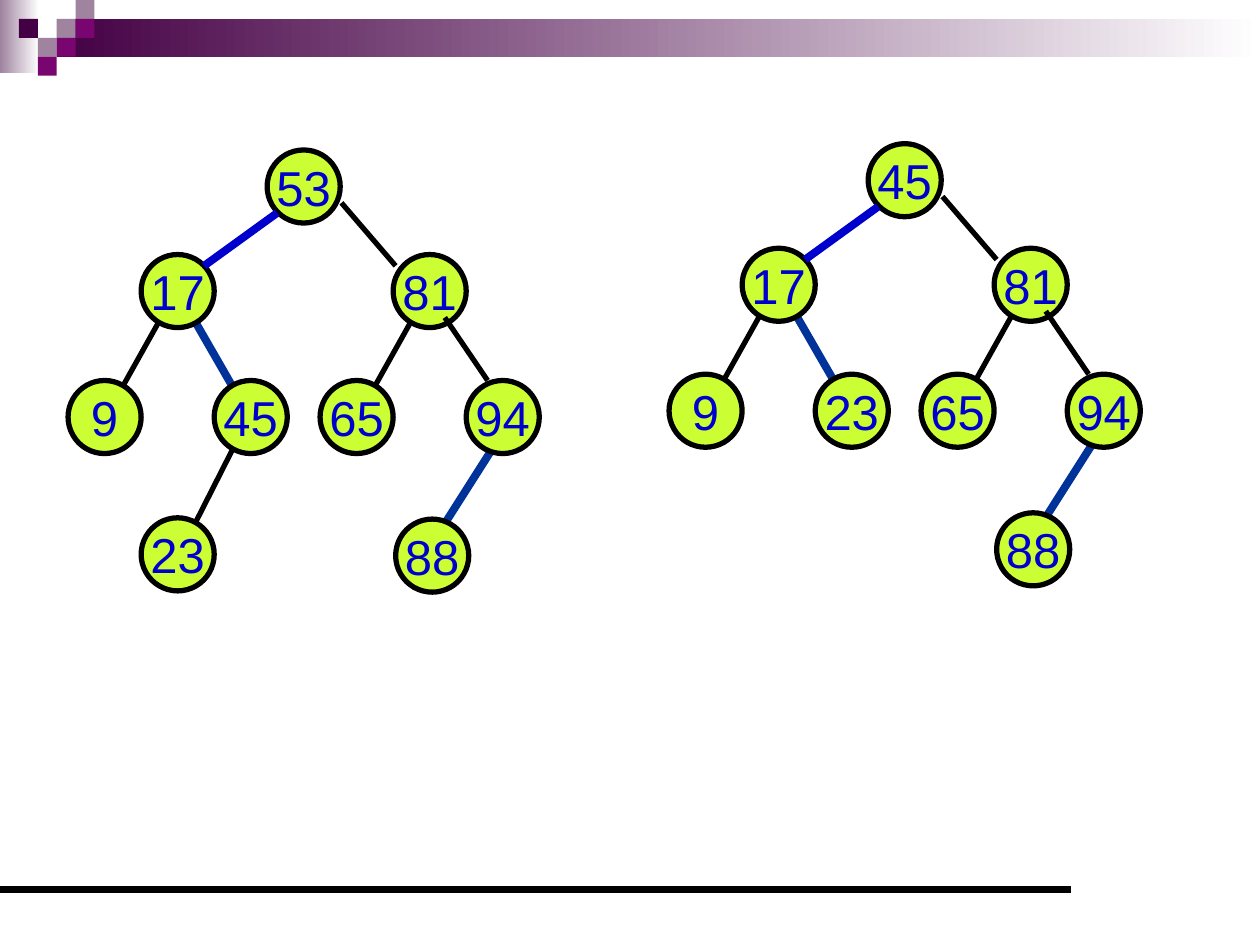
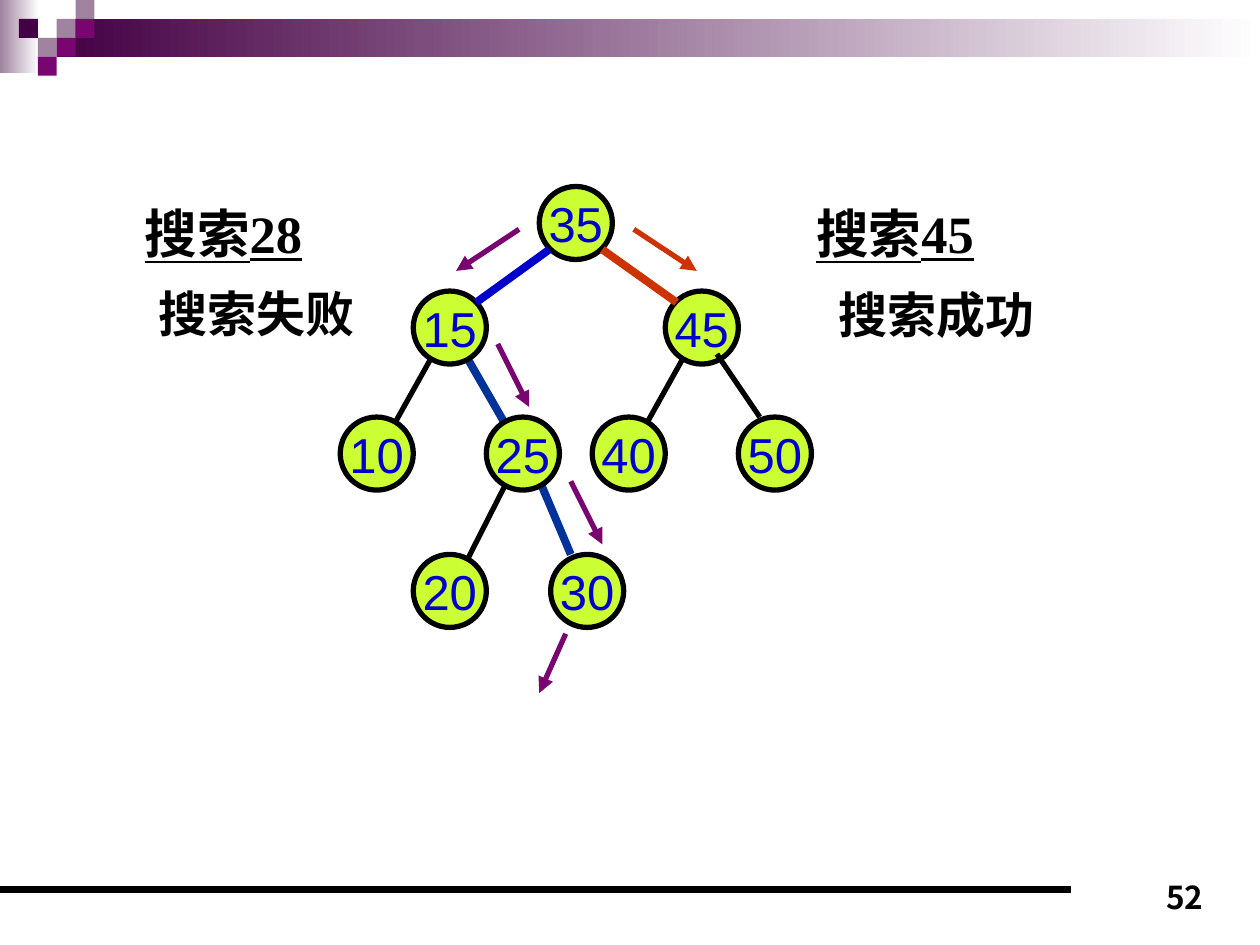
from lxml.etree import SubElement
from pptx import Presentation
from pptx.dml.color import RGBColor
from pptx.enum.shapes import MSO_CONNECTOR, MSO_SHAPE
from pptx.enum.text import MSO_ANCHOR, PP_ALIGN
from pptx.oxml.ns import qn
from pptx.util import Inches, Pt

COLORS = {
    "black": "000000", "white": "FFFFFF", "dark": "440044", "purple": "790571",
    "mauve": "9F839F", "lime": "CCFF33", "blue": "0000CC", "navy": "003399",
    "red": "CC3300",
}
FORMATS = {
    "node": {"size": Pt(28), "name": "Arial"},
    "query": {"size": Pt(30), "name": "Times New Roman", "bold": True, "underline": True},
    "result": {"size": Pt(28), "name": "Times New Roman", "bold": True},
    "number": {"size": Pt(18), "name": "Noto Sans CJK JP", "bold": True},
}
EAST_ASIAN_FONT = "Noto Sans CJK JP"

BAND_STEP = 0.15
# Column and row of each small square in the top band
BAND_SQUARES = [
    (3, 1, "mauve"), (4, 0, "mauve"), (4, 1, "purple"), (2, 2, "mauve"),
    (1, 1, "dark"), (3, 2, "purple"), (2, 3, "purple"),
]

NODE_SIZE = 0.58
# A node is named by its path from the root; places are relative to the root's corner
NODE_PLACES = {
    "root": (0, 0), "L": (-1, 0.83), "R": (1, 0.83),
    "LL": (-1.58, 1.83), "LR": (-0.42, 1.83), "RL": (0.42, 1.83), "RR": (1.58, 1.83),
    "LRL": (-1, 2.92), "LRR": (0.09, 2.92), "RRL": (1.02, 2.93),
}
# Edge above each node: start, end, colour, width
EDGES_BEHIND = {
    "LL": ((-0.84, 1.33), (-1.17, 1.92), "black", 3),
    "LR": ((-0.59, 1.33), (-0.25, 1.92), "navy", 4.5),
    "RL": ((1.16, 1.33), (0.83, 1.92), "black", 3),
    "LRL": ((-0.25, 2.33), (-0.59, 3), "black", 3),
    "LRR": ((0, 2.33), (0.25, 2.92), "navy", 4.5),
    "RRL": ((1.77, 2.4), (1.35, 3.06), "navy", 4.5),
}
EDGES_IN_FRONT = {
    "L": ((0.08, 0.5), (-0.5, 0.92), "blue", 4.5),
    "R": ((0.59, 0.42), (1.02, 0.92), "black", 3),
    "RR": ((1.41, 1.33), (1.75, 1.83), "black", 3),
}
SEARCH_HIT_EDGE = {"R": ((0.5, 0.5), (1.09, 0.92), "red", 4.5)}

TREE_BEFORE = {"root": 53, "L": 17, "R": 81, "LL": 9, "LR": 45, "RL": 65, "RR": 94,
               "LRL": 23, "RRL": 88}
TREE_AFTER = {"root": 45, "L": 17, "R": 81, "LL": 9, "LR": 23, "RL": 65, "RR": 94,
              "RRL": 88}
TREE_SEARCHED = {"root": 35, "L": 15, "R": 45, "LL": 10, "LR": 25, "RL": 40, "RR": 50,
                 "LRL": 20, "LRR": 30}

SEARCH_STEPS = [
    ((5.03, 1.82), (5.53, 2.15), "red"),
    ((4.12, 1.82), (3.62, 2.15), "purple"),
    ((3.95, 2.73), (4.2, 3.23), "purple"),
    ((4.53, 3.82), (4.78, 4.32), "purple"),
    ((4.49, 5.03), (4.28, 5.5), "purple"),
]
SEARCH_LABELS = [
    ("搜索45", (6.38, 1.55, 1.55, 0.6), "query"),
    ("搜索28", (1.05, 1.55, 1.55, 0.6), "query"),
    ("搜索失败", (1.16, 2.2, 1.75, 0.57), "result"),
    ("搜索成功", (6.56, 2.21, 1.75, 0.57), "result"),
]


def rgb(color):
    return RGBColor.from_string(COLORS[color])


class Deck:
    def __init__(self):
        self.presentation = Presentation()
        self.presentation.slide_width = Inches(10)
        self.presentation.slide_height = Inches(7.5)
        self.slide = None

    def new_slide(self):
        """Start a slide with the shared top band and bottom rule."""
        self.slide = self.presentation.slides.add_slide(self.presentation.slide_layouts[6])
        self.slide.background.fill.solid()
        self.slide.background.fill.fore_color.rgb = rgb("white")
        self.shape((0, 0, 0.31, 0.58), "mauve", fade=True)
        self.shape((0.45, 0.15, 9.55, 0.3), "dark", fade=True)
        for column, row, color in BAND_SQUARES:
            place = (column * BAND_STEP, row * BAND_STEP, BAND_STEP, BAND_STEP)
            self.shape(place, color)
        self.line((0, 7.06), (8.5, 7.06), "black", 4.5)

    def shape(self, place, color, kind=MSO_SHAPE.RECTANGLE, fade=False):
        """Add a shape without outline; fade runs its colour into white."""
        shape = self.slide.shapes.add_shape(kind, *map(Inches, place))
        shape.shadow.inherit = False
        shape.line.fill.background()
        if fade:
            shape.fill.gradient()
            shape.fill.gradient_angle = 0
            for stop, stop_color in zip(shape.fill.gradient_stops, (color, "white")):
                stop.color.rgb = rgb(stop_color)
        else:
            shape.fill.solid()
            shape.fill.fore_color.rgb = rgb(color)
        return shape

    def line(self, start, end, color, width, arrow=False):
        line = self.slide.shapes.add_connector(
            MSO_CONNECTOR.STRAIGHT, *map(Inches, start + end))
        line.line.color.rgb = rgb(color)
        line.line.width = Pt(width)
        properties = line._element.spPr
        if arrow:
            SubElement(properties.find(qn("a:ln")), qn("a:tailEnd"), type="triangle")
        SubElement(properties, qn("a:effectLst"))

    def fill_text(self, shape, text, style, color="black", align=PP_ALIGN.LEFT,
                  anchor=MSO_ANCHOR.TOP, wrap=False):
        frame = shape.text_frame
        frame.word_wrap = wrap
        frame.vertical_anchor = anchor
        paragraph = frame.paragraphs[0]
        paragraph.alignment = align
        run = paragraph.add_run()
        run.text = text
        for attribute, value in FORMATS[style].items():
            setattr(run.font, attribute, value)
        run.font.color.rgb = rgb(color)
        SubElement(run._r.get_or_add_rPr(), qn("a:ea"), typeface=EAST_ASIAN_FONT)

    def text(self, text, place, style, **options):
        box = self.slide.shapes.add_textbox(*map(Inches, place))
        self.fill_text(box, text, style, **options)

    def node(self, left, top, value):
        place = (left, top, NODE_SIZE, NODE_SIZE)
        circle = self.shape(place, "lime", MSO_SHAPE.OVAL)
        circle.line.color.rgb = rgb("black")
        circle.line.width = Pt(3)
        self.fill_text(circle, str(value), "node", "blue", PP_ALIGN.CENTER,
                       MSO_ANCHOR.MIDDLE)

    def edges(self, left, top, values, edges):
        for child, (start, end, color, width) in edges.items():
            if child in values:
                self.line((left + start[0], top + start[1]),
                          (left + end[0], top + end[1]), color, width)

    def tree(self, left, top, values, special_edges=None):
        """Draw a binary tree whose root circle has its corner at left, top."""
        self.edges(left, top, values, EDGES_BEHIND)
        for name, value in values.items():
            across, down = NODE_PLACES[name]
            self.node(left + across, top + down, value)
        self.edges(left, top, values, {**EDGES_IN_FRONT, **(special_edges or {})})


def main():
    deck = Deck()

    deck.new_slide()
    deck.tree(2.12, 1.19, TREE_BEFORE)
    deck.tree(6.89, 1.14, TREE_AFTER)

    deck.new_slide()
    deck.text("52", (7.32, 6.82, 2.33, 0.5), "number", align=PP_ALIGN.RIGHT,
              anchor=MSO_ANCHOR.BOTTOM, wrap=True)
    deck.tree(4.28, 1.48, TREE_SEARCHED, SEARCH_HIT_EDGE)
    for start, end, color in SEARCH_STEPS:
        deck.line(start, end, color, 3, arrow=True)
    for text, place, style in SEARCH_LABELS:
        deck.text(text, place, style)

    deck.presentation.save("out.pptx")


if __name__ == "__main__":
    main()
